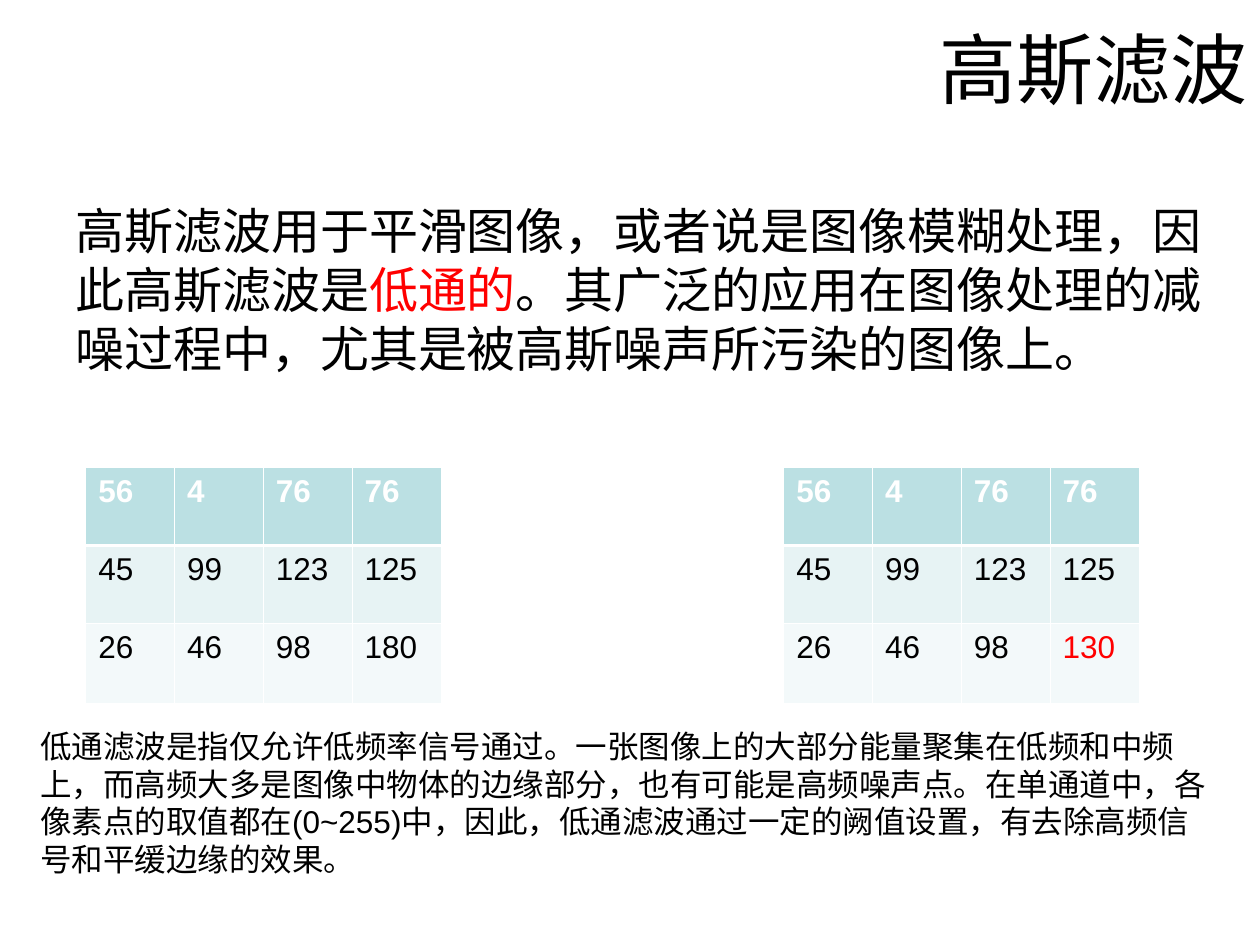
from pptx import Presentation
from pptx.dml.color import RGBColor
from pptx.enum.text import MSO_ANCHOR, PP_ALIGN
from pptx.oxml.ns import qn
from pptx.util import Inches, Pt
from lxml.etree import SubElement

HEX = {"ink": "000000", "red": "FF0000", "white": "FFFFFF",
       "head": "BBE0E3", "odd": "E7F3F4", "even": "F3F9FA"}
FILLS = ("head", "odd", "even")
ROWS = (0.62, 0.62, 0.63)
THIN, THICK = 0.45, 1.47

PIXELS = [[56, 4, 76, 76], [45, 99, 123, 125], [26, 46, 98, 180]]
SMOOTH = PIXELS[:2] + [[26, 46, 98, 130]]

INTRO = [
    ("高斯滤波用于平滑图像，或者说是图像模糊处理，因此高斯滤波是", "ink"),
    ("低通的", "red"),
    ("。其广泛的应用在图像处理的减噪过程中，尤其是被高斯噪声所污染的图像上。", "ink"),
]
NOTE = ("低通滤波是指仅允许低频率信号通过。一张图像上的大部分能量聚集在低频和中频上，"
        "而高频大多是图像中物体的边缘部分，也有可能是高频噪声点。在单通道中，"
        "各像素点的取值都在(0~255)中，因此，低通滤波通过一定的阙值设置，"
        "有去除高频信号和平缓边缘的效果。")


def color(name):
    return RGBColor.from_string(HEX[name])


def add_run(para, text, size, tint="ink", bold=False):
    run = para.add_run()
    run.text = text
    font = run.font
    font.name, font.size, font.bold = "Arial", Pt(size), bold
    font.color.rgb = color(tint)


def place(shape, left, top, width, height):
    shape.left, shape.top = Inches(left), Inches(top)
    shape.width, shape.height = Inches(width), Inches(height)


def add_title(slide):
    title = slide.shapes.title
    place(title, 1, 0, 9, 1.07)
    title.text_frame.vertical_anchor = MSO_ANCHOR.MIDDLE
    para = title.text_frame.paragraphs[0]
    para.alignment = PP_ALIGN.RIGHT
    add_run(para, "高斯滤波", 44)


def add_body(slide):
    body = slide.placeholders[1]
    place(body, 0.5, 1.54, 9.14, 4.95)
    para = body.text_frame.paragraphs[0]
    para.space_before = Pt(7)
    props = para._p.get_or_add_pPr()
    props.set("marL", "0")
    props.set("indent", "0")
    SubElement(props, qn("a:buNone"))
    for text, tint in INTRO:
        add_run(para, text, 28, tint)


def add_edges(cell, row):
    """Draw white cell borders, thicker between the head row and the next."""
    props = cell._tc.get_or_add_tcPr()
    heavy = {(0, "B"), (1, "T")}
    for side in "LRTB":
        width = THICK if (row, side) in heavy else THIN
        line = SubElement(props, qn(f"a:ln{side}"), w=str(int(Pt(width))))
        fill = SubElement(line, qn("a:solidFill"))
        SubElement(fill, qn("a:srgbClr"), val=HEX["white"])


def add_grid(slide, left, data, marks=()):
    """Add a pixel table; marks holds the (row, column) of red values."""
    rows, cols = len(data), len(data[0])
    table = slide.shapes.add_table(rows, cols, Inches(left), Inches(3.71),
                                   Inches(2.82), Inches(sum(ROWS))).table
    for r, values in enumerate(data):
        table.rows[r].height = Inches(ROWS[r])
        for c, value in enumerate(values):
            cell = table.cell(r, c)
            add_edges(cell, r)
            cell.fill.solid()
            cell.fill.fore_color.rgb = color(FILLS[r])
            tint = "red" if (r, c) in marks else "ink" if r else "white"
            add_run(cell.text_frame.paragraphs[0], str(value), 18, tint, r == 0)


def add_note(slide):
    box = slide.shapes.add_textbox(Inches(0.22), Inches(5.72),
                                   Inches(9.55), Inches(1.3))
    box.text_frame.word_wrap = True
    para = box.text_frame.paragraphs[0]
    para._p.get_or_add_pPr().set("hangingPunct", "0")
    add_run(para, NOTE, 18)


def main():
    deck = Presentation()
    deck.slide_width, deck.slide_height = Inches(10), Inches(7.5)
    slide = deck.slides.add_slide(deck.slide_layouts[1])
    add_title(slide)
    add_body(slide)
    add_grid(slide, 0.68, PIXELS)
    add_grid(slide, 6.22, SMOOTH, marks={(2, 3)})
    add_note(slide)
    deck.save("out.pptx")


if __name__ == "__main__":
    main()
